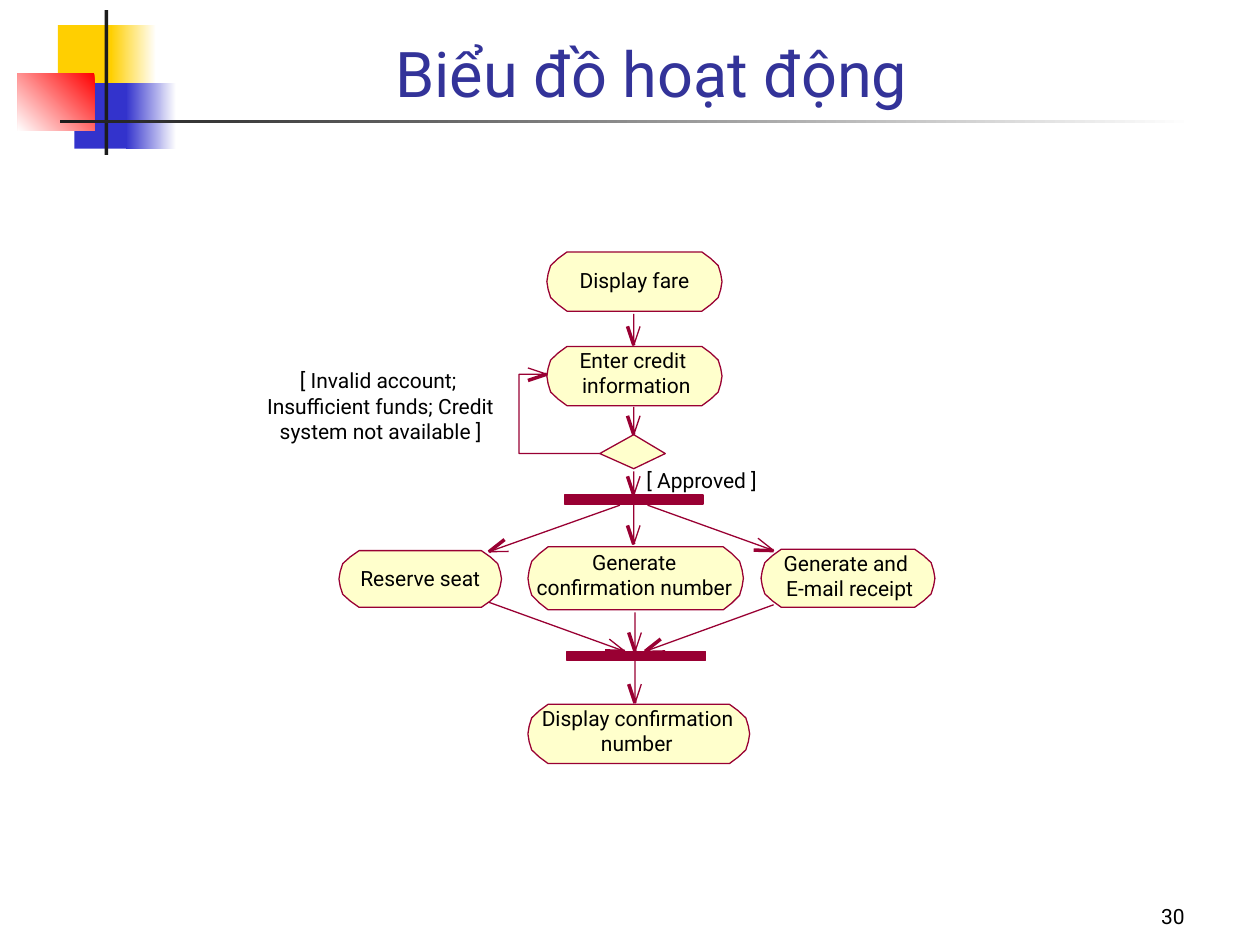
import math

from lxml import etree
from pptx import Presentation
from pptx.dml.color import RGBColor
from pptx.enum.shapes import MSO_CONNECTOR, MSO_SHAPE
from pptx.enum.text import MSO_ANCHOR, MSO_AUTO_SIZE, PP_ALIGN
from pptx.oxml.ns import qn
from pptx.util import Inches, Pt

RECT = MSO_SHAPE.RECTANGLE
STRAIGHT = MSO_CONNECTOR.STRAIGHT
BOTTOM = MSO_ANCHOR.BOTTOM
FIT = MSO_AUTO_SIZE.SHAPE_TO_FIT_TEXT
LEFT, CENTER, RIGHT = PP_ALIGN.LEFT, PP_ALIGN.CENTER, PP_ALIGN.RIGHT

FONT = "Roboto"
MAROON = "990033"
CREAM = "FFFFCC"
LINE_PITCH = 0.2
END_PROFILE = [(0.16, 0), (0.09, 0.11), (0.03, 0.23), (0.01, 0.37), (0, 0.5),
               (0.01, 0.63), (0.03, 0.77), (0.09, 0.89), (0.16, 1)]


def rgb(value):
    return RGBColor.from_string(value)


def outline(sp):
    sp.line.color.rgb = rgb(MAROON)
    sp.line.width = Pt(0)


def add_rect(slide, x, y, w, h, *colors, angle=180):
    sp = slide.shapes.add_shape(RECT, Inches(x), Inches(y), Inches(w), Inches(h))
    sp.shadow.inherit = False
    sp.line.fill.background()
    if len(colors) == 1:
        sp.fill.solid()
        sp.fill.fore_color.rgb = rgb(colors[0])
    else:
        sp.fill.gradient()
        sp.fill.gradient_angle = angle
        for stop, color, position in zip(sp.fill.gradient_stops, colors, (0, 1)):
            stop.color.rgb = rgb(color)
            stop.position = position
    return sp


def add_text(slide, text, x, y, w, h, size=12, color="000000", align=LEFT):
    tb = slide.shapes.add_textbox(Inches(x), Inches(y), Inches(w), Inches(h))
    tf = tb.text_frame
    tf.word_wrap = True
    tf.vertical_anchor = BOTTOM
    tf.text = text
    p = tf.paragraphs[0]
    p.alignment = align
    r = p.runs[0]
    r.font.name = FONT
    r.font.size = Pt(size)
    r.font.color.rgb = rgb(color)
    return tf


def add_lines(slide, x, y, lines):
    for i, (text, dx, w) in enumerate(lines):
        tf = add_text(slide, text, x + dx, y + i * LINE_PITCH, w, LINE_PITCH)
        tf.margin_left = tf.margin_right = tf.margin_top = tf.margin_bottom = 0
        tf.word_wrap = False
        tf.auto_size = FIT


def add_outline_shape(slide, points, fill=None):
    pts = [(Inches(x), Inches(y)) for x, y in points]
    builder = slide.shapes.build_freeform(*pts[0], scale=1.0)
    builder.add_line_segments(pts[1:], close=fill is not None)
    sp = builder.convert_to_shape()
    sp.shadow.inherit = False
    if fill:
        sp.fill.solid()
        sp.fill.fore_color.rgb = rgb(fill)
    else:
        sp.fill.background()
    outline(sp)


def add_activity(slide, x, y, w, h, text_dy, lines):
    left = [(x + dx, y + fy * h) for dx, fy in END_PROFILE]
    right = [(x + w - dx, y + fy * h) for dx, fy in reversed(END_PROFILE)]
    add_outline_shape(slide, left + right, CREAM)
    add_lines(slide, x, y + text_dy, lines)


def add_bar(slide, x, y, w, h):
    outline(add_rect(slide, x, y, w, h, MAROON))


def add_flow(slide, *points, length=0.15, half=0.05):
    (x0, y0), (x1, y1) = points[-2:]
    d = math.hypot(x1 - x0, y1 - y0)
    ux, uy = (x1 - x0) / d, (y1 - y0) / d
    barbs = [(x1 - length * ux + side * uy, y1 - length * uy - side * ux)
             for side in (half, -half)]
    add_outline_shape(slide, [*points, barbs[0]])
    cx = slide.shapes.add_connector(STRAIGHT, *(Inches(v) for v in (x1, y1, *barbs[1])))
    outline(cx)
    etree.SubElement(cx._element.spPr, qn("a:effectLst"))


def add_ornament(slide, x, y):
    add_rect(slide, x + 0.32, y + 0.12, 0.48, 0.52, "FFCF01")
    add_rect(slide, x + 0.74, y + 0.12, 0.36, 0.52, "FFFFFF", "FFCF01")
    add_rect(slide, x + 0.45, y + 0.58, 0.46, 0.52, "3333CC")
    add_rect(slide, x + 0.86, y + 0.58, 0.4, 0.52, "FFFFFF", "3333CC")
    add_rect(slide, x, y + 0.5, 0.61, 0.46, "FF0000", "FFFFFF", angle=225)
    add_rect(slide, x + 0.69, y, 0.03, 1.15, "1C1C1C")
    add_rect(slide, x + 0.34, y + 0.87, 9, 0.03, "FFFFFF", "1C1C1C")


def add_diagram(slide, x, y):
    activities = [
        (0.57, 2.37, 1.29, 0.45, 0.12, [("Reserve seat", 0.17, 0.99)]),
        (2.07, 2.34, 1.71, 0.5, 0.02,
         [("Generate", 0.51, 0.77), ("confirmation number", 0.07, 1.68)]),
        (2.22, 0, 1.39, 0.47, 0.12, [("Display fare", 0.26, 0.93)]),
        (2.22, 0.75, 1.39, 0.47, 0.01,
         [("Enter credit", 0.26, 0.95), ("information", 0.28, 0.93)]),
        (3.92, 2.36, 1.38, 0.46, 0.01,
         [("Generate and", 0.18, 1.12), ("E-mail receipt", 0.2, 1.07)]),
        (2.07, 3.59, 1.76, 0.47, 0.01,
         [("Display confirmation", 0.11, 1.67), ("number", 0.58, 0.63)]),
    ]
    for dx, dy, *rest in activities:
        add_activity(slide, x + dx, y + dy, *rest)

    decision = [(2.64, 1.6), (2.91, 1.45), (3.16, 1.6), (2.91, 1.72)]
    add_outline_shape(slide, [(x + dx, y + dy) for dx, dy in decision], CREAM)
    add_bar(slide, x + 2.36, y + 1.93, 1.1, 0.07)
    add_bar(slide, x + 2.38, y + 3.17, 1.1, 0.07)

    flows = [
        [(2.91, 0.49), (2.91, 0.74)],
        [(2.91, 1.23), (2.91, 1.45)],
        [(2.8, 2.01), (1.76, 2.38)],
        [(2.91, 2.01), (2.91, 2.32)],
        [(3.02, 2.01), (4.02, 2.37)],
        [(1.76, 2.78), (2.84, 3.17)],
        [(2.92, 2.86), (2.92, 3.17)],
        [(4.02, 2.8), (3, 3.17)],
        [(2.92, 3.24), (2.92, 3.58)],
        [(2.91, 1.74), (2.91, 1.93)],
        [(2.64, 1.6), (2, 1.6), (2, 0.97), (2.22, 0.97)],
    ]
    for flow in flows:
        add_flow(slide, *((x + dx, y + dy) for dx, dy in flow))

    add_lines(slide, x, y + 1.71, [("[ Approved ]", 3.01, 0.96)])
    add_lines(slide, x, y + 0.92, [("[ Invalid account;", 0.26, 1.38),
                                   ("Insufficient funds; Credit", 0, 1.98),
                                   ("system not available ]", 0.1, 1.69)])


def main():
    prs = Presentation()
    prs.slide_width, prs.slide_height = Inches(10), Inches(7.5)
    slide = prs.slides.add_slide(prs.slide_layouts[6])
    add_ornament(slide, 0.14, 0.08)
    add_text(slide, "Biểu đồ hoạt động", 1.26, 0.08, 7.82, 0.84, 36, "333399", CENTER)
    add_diagram(slide, 2.12, 2)
    add_text(slide, "30", 7.42, 6.92, 2.08, 0.5, align=RIGHT)
    prs.save("out.pptx")


if __name__ == "__main__":
    main()
